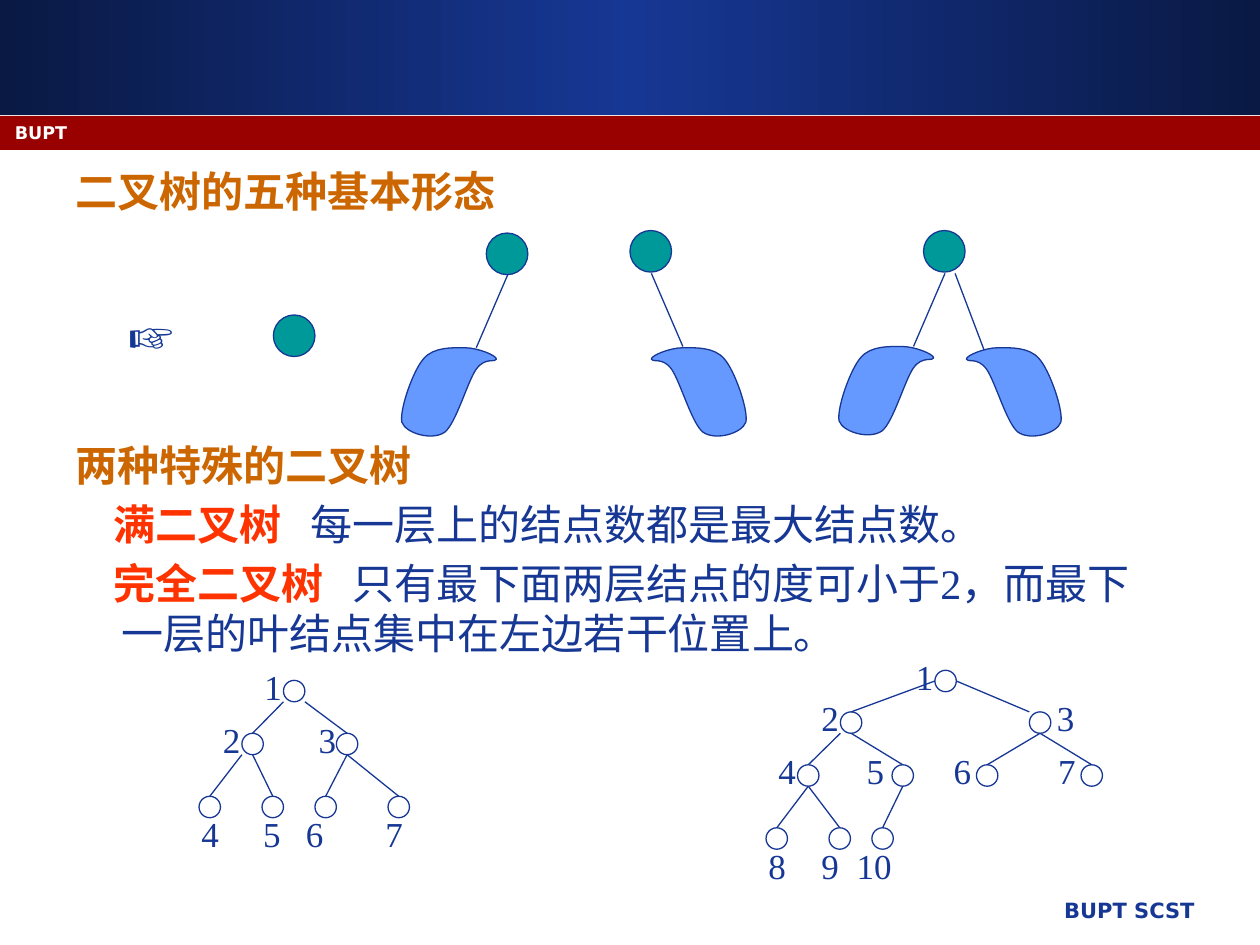
from copy import deepcopy

from lxml import etree
from pptx import Presentation
from pptx import util as u
from pptx.dml.color import RGBColor
from pptx.enum import shapes, text
from pptx.oxml.ns import qn

COLORS = {
    "navy": "163794", "dark": "0A1944", "red": "990000", "white": "FFFFFF",
    "heading": "CC6600", "term": "FF3300", "root": "009999", "subtree": "6699FF",
}
SERIF, SANS = "Times New Roman", "DejaVu Sans"
HEADING = {"size": u.Pt(24), "name": SERIF, "bold": True, "color": "heading"}
TERM = {**HEADING, "color": "term"}
BODY = {**HEADING, "bold": False, "color": "navy"}
LABEL = {**BODY, "size": u.Pt(20)}
HAND = {**BODY, "size": u.Pt(32)}
BRAND = {"size": u.Pt(10), "name": SANS, "bold": True, "color": "white"}
FOOTER = {**BRAND, "size": u.Pt(12), "color": "navy"}

ROOT_SIZE, NODE_SIZE = 0.33, 0.17

# Subtree outline: a start point, then two control points and an end per curve
LEAF_WIDTH = 0.77
LEAF_START = (0.52, 0.01)
LEAF_CURVES = [
    (0.43, 0.01), (0.27, 0), (0.19, 0.1),
    (0.11, 0.19), (0, 0.5), (0.02, 0.6),
    (0.05, 0.69), (0.26, 0.75), (0.36, 0.68),
    (0.45, 0.61), (0.54, 0.28), (0.61, 0.18),
    (0.68, 0.08), (0.77, 0.13), (0.77, 0.1),
    (0.77, 0.07), (0.62, 0.01), LEAF_START,
]

# Forms: root, then edge start, edge end, subtree corner, mirrored
FORMS = [
    ((2.17, 2.5), []),
    ((3.86, 1.85), [((4.03, 2.18), (3.78, 2.76), (3.17, 2.75), False)]),
    ((5, 1.83), [((5.17, 2.17), (5.42, 2.75), (5.17, 2.75), True)]),
    ((7.33, 1.83), [((7.5, 2.17), (7.25, 2.75), (6.64, 2.74), False),
                    ((7.58, 2.17), (7.83, 2.83), (7.67, 2.75), True)]),
]

# Points of a node, as shares of its size
TOP, TOP_LEFT, LEFT, RIGHT = (0.5, 0), (0, 0), (0, 0.5), (1, 0.5)
BOTTOM, BOTTOM_LEFT, BOTTOM_RIGHT = (0.5, 1), (0, 1), (1, 1)

# Nodes: number -> left, top. Edges: parent, child, start point, end point.
# Labels: left, top, width, text, tab stops.
FULL_TREE = {
    "nodes": {1: (2.25, 5.4), 2: (1.92, 5.82), 3: (2.67, 5.82), 4: (1.58, 6.32),
              5: (2.08, 6.32), 6: (2.5, 6.32), 7: (3.08, 6.32)},
    "edges": [(1, 2, BOTTOM_LEFT, TOP), (1, 3, BOTTOM_RIGHT, TOP),
              (2, 4, BOTTOM_LEFT, TOP), (2, 5, BOTTOM, TOP),
              (3, 6, BOTTOM, TOP), (3, 7, BOTTOM, TOP)],
    "labels": [(2, 5.23, 0.5, "1", ()), (1.67, 5.65, 1.25, "2\t3", (0.76,)),
               (1.5, 6.4, 2.17, "4\t5\t6\t7", (0.49, 0.83, 1.46))],
}
COMPLETE_TREE = {
    "nodes": {1: (7.42, 5.32), 2: (6.67, 5.65), 3: (8.17, 5.65), 4: (6.33, 6.07),
              5: (7.08, 6.07), 6: (7.75, 6.07), 7: (8.58, 6.07), 8: (6.08, 6.57),
              9: (6.58, 6.57), 10: (6.92, 6.57)},
    "edges": [(1, 2, LEFT, TOP), (1, 3, RIGHT, TOP_LEFT),
              (2, 4, BOTTOM_LEFT, TOP), (2, 5, BOTTOM, TOP),
              (3, 6, BOTTOM, TOP), (3, 7, BOTTOM, TOP),
              (4, 8, BOTTOM, TOP), (4, 9, BOTTOM, TOP), (5, 10, BOTTOM, TOP)],
    "labels": [(7.17, 5.15, 0.67, "1", ()), (6.42, 5.48, 2.58, "2\t3", (1.87,)),
               (6.08, 5.9, 2.75, "4\t5\t6\t7", (0.7, 1.39, 2.22)),
               (6, 6.65, 1.58, "8\t9\t10", (0.42, 0.7))],
}


def rgb(name):
    return RGBColor.from_string(COLORS[name])


def inches(*values):
    return [u.Inches(value) for value in values]


def paint(shape, fill=None, line=None):
    shape.shadow.inherit = False
    if fill:
        shape.fill.solid()
        shape.fill.fore_color.rgb = rgb(fill)
    else:
        shape.fill.background()
    if line:
        shape.line.color.rgb = rgb(line)
        shape.line.width = u.Pt(0.75)
    else:
        shape.line.fill.background()


def add_run(paragraph, words, style):
    run = paragraph.add_run()
    run.text = words
    for key, value in style.items():
        if key == "color":
            run.font.color.rgb = rgb(value)
        else:
            setattr(run.font, key, value)
    return run


def set_indent(paragraph, margin, first):
    properties = paragraph._p.get_or_add_pPr()
    properties.set("marL", str(u.Inches(margin)))
    properties.set("indent", str(u.Inches(first)))
    return properties


def add_text(slide, box, words, style, tabs=(), align=None, grow=True):
    frame = slide.shapes.add_textbox(*inches(*box)).text_frame
    frame.word_wrap = True
    if grow:
        frame.auto_size = text.MSO_AUTO_SIZE.SHAPE_TO_FIT_TEXT
    paragraph = frame.paragraphs[0]
    if tabs:
        stops = etree.SubElement(paragraph._p.get_or_add_pPr(), qn("a:tabLst"))
        for stop in tabs:
            etree.SubElement(stops, qn("a:tab"), pos=str(u.Inches(stop)), algn="l")
    paragraph.alignment = align
    add_run(paragraph, words, style)
    return frame


def add_band(slide, top, height, fill):
    band = slide.shapes.add_shape(shapes.MSO_SHAPE.RECTANGLE, *inches(0, top, 10, height))
    paint(band, fill)
    return band


def add_circle(slide, left, top, size, fill=None):
    circle = slide.shapes.add_shape(shapes.MSO_SHAPE.OVAL, *inches(left, top, size, size))
    paint(circle, fill, "navy")


def add_edge(slide, start, end):
    edge = slide.shapes.add_connector(shapes.MSO_CONNECTOR.STRAIGHT, *inches(*start, *end))
    edge.line.color.rgb = rgb("navy")
    edge.line.width = u.Pt(0.75)
    etree.SubElement(edge._element.spPr, qn("a:effectLst"))


def add_subtree(slide, left, top, mirrored):
    start, *rest = [inches(left + (LEAF_WIDTH - x if mirrored else x), top + y)
                    for x, y in (LEAF_START, *LEAF_CURVES)]
    builder = slide.shapes.build_freeform(*start, scale=1.0)
    builder.add_line_segments(rest, close=True)
    leaf = builder.convert_to_shape()
    # Each three straight segments become one Bezier curve
    segments = list(leaf._element.iter(qn("a:lnTo")))
    for index in range(0, len(segments), 3):
        curve = etree.Element(qn("a:cubicBezTo"))
        segments[index].addprevious(curve)
        for segment in segments[index:index + 3]:
            curve.append(segment[0])
            segment.getparent().remove(segment)
    paint(leaf, "subtree", "navy")


def add_tree(slide, tree):
    nodes = tree["nodes"]
    for left, top in nodes.values():
        add_circle(slide, left, top, NODE_SIZE)
    for parent, child, leave, enter in tree["edges"]:
        ends = [[corner + share * NODE_SIZE for corner, share in zip(nodes[node], point)]
                for node, point in ((parent, leave), (child, enter))]
        add_edge(slide, *ends)
    for left, top, width, words, tabs in tree["labels"]:
        add_text(slide, (left, top, width, 0.43), words, LABEL, tabs)


def add_header_and_footer(slide):
    fill = add_band(slide, 0, 0.91, "navy").fill
    fill.gradient()
    fill.gradient_angle = 0
    first = fill.gradient_stops[0]._gs
    first.addnext(deepcopy(first))
    for stop, place, color in zip(fill.gradient_stops, (0, 0.5, 1), ("dark", "navy", "dark")):
        stop.position = place
        stop.color.rgb = rgb(color)
    add_band(slide, 0.92, 0.27, "red")
    add_text(slide, (4.21, 7.07, 5.37, 0.35), "BUPT SCST", FOOTER,
             align=text.PP_ALIGN.RIGHT, grow=False)
    add_text(slide, (0.02, 0.92, 9.25, 0.25), "BUPT", BRAND, grow=False)


def add_forms_heading(slide):
    title, body = slide.placeholders
    title._element.getparent().remove(title._element)
    body.left, body.top, body.width, body.height = inches(0.5, 1.26, 9, 5.74)
    paragraph = body.text_frame.paragraphs[0]
    etree.SubElement(set_indent(paragraph, 0.38, -0.38), qn("a:buNone"))
    paragraph.space_before = u.Pt(0)
    add_run(paragraph, "二叉树的五种基本形态", HEADING)


def add_definitions(slide):
    frame = add_text(slide, (0.5, 1.75, 8.83, 5.25), "两种特殊的二叉树", HEADING, grow=False)
    frame.margin_top = u.Inches(1.74)
    for term, meaning in (
        ("满二叉树", "每一层上的结点数都是最大结点数。"),
        ("完全二叉树", "只有最下面两层结点的度可小于2，而最下一层的叶结点集中在左边若干位置上。"),
    ):
        paragraph = frame.add_paragraph()
        set_indent(paragraph, 0.37, -0.07)
        paragraph.space_before = u.Pt(4.8)
        add_run(paragraph, term, TERM)
        gap = add_run(paragraph, " ", TERM)
        gap.font._element.set("spc", "1130")
        add_run(paragraph, meaning, BODY)


def main():
    prs = Presentation()
    prs.slide_width, prs.slide_height = inches(10, 7.5)
    slide = prs.slides.add_slide(prs.slide_layouts[1])
    add_forms_heading(slide)
    add_header_and_footer(slide)

    # Five basic forms: empty, single node, left, right and both subtrees
    add_text(slide, (0.92, 2.33, 0.83, 0.63), "☞", HAND)
    for root, branches in FORMS:
        add_circle(slide, *root, ROOT_SIZE, "root")
        for start, end, corner, mirrored in branches:
            add_edge(slide, start, end)
            add_subtree(slide, *corner, mirrored)

    # Two special trees
    add_definitions(slide)
    for tree in (FULL_TREE, COMPLETE_TREE):
        add_tree(slide, tree)
    prs.save("out.pptx")


if __name__ == "__main__":
    main()
